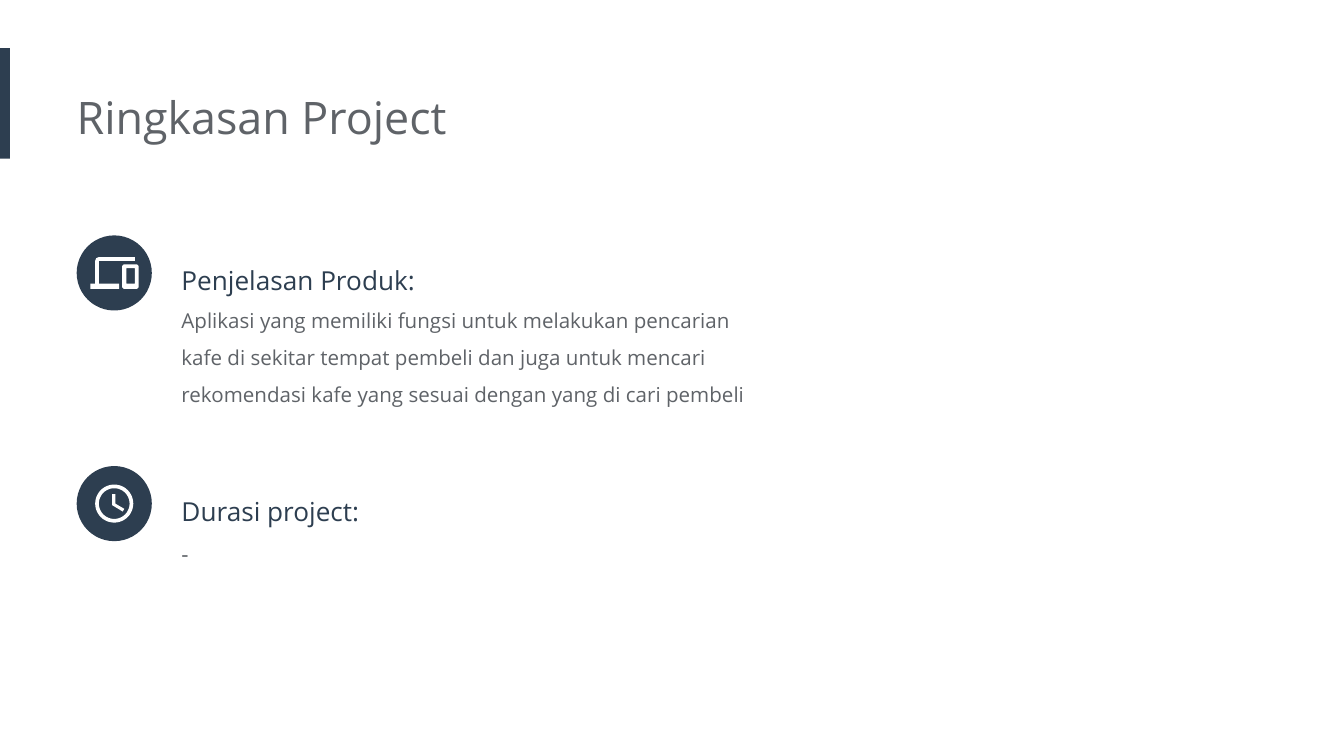
import math
from dataclasses import dataclass

import pptx
import pptx.dml.color
import pptx.enum.shapes
import pptx.enum.text
import pptx.util

Cm = pptx.util.Cm
Pt = pptx.util.Pt
RGBColor = pptx.dml.color.RGBColor
Kind = pptx.enum.shapes.MSO_SHAPE
Fit = pptx.enum.text.MSO_AUTO_SIZE
Point = tuple[float, float]
Path = list[Point]

NAVY = RGBColor(0x2D, 0x3E, 0x50)
GREY = RGBColor(0x5F, 0x63, 0x68)
WHITE = RGBColor(0xFF, 0xFF, 0xFF)
FONT = "Open Sans"
LEFT = 1.45    # left edge of title and badges, cm
INDENT = 3.43  # left edge of topic text, cm
BADGE = 1.42   # badge diameter, cm


@dataclass
class Line:
    text: str
    size: float
    color: RGBColor


@dataclass
class Topic:
    top: float
    width: float
    height: float
    lines: list[Line]
    icon: list[Path]


def ring(radius: float, steps: int = 48) -> Path:
    turns = [math.tau * i / steps for i in range(steps)]
    return [(radius * math.cos(a), radius * math.sin(a)) for a in turns]


# Icon outlines in cm, measured from the badge centre
CLOCK = [
    ring(0.36), ring(0.29),
    [(-0.04, -0.18), (-0.04, 0.03), (0.16, 0.15),
     (0.19, 0.1), (0.02, 0), (0.02, -0.18)],
]
SCREENS = [
    # Laptop
    [(-0.29, -0.23), (0.39, -0.23), (0.39, -0.3), (-0.29, -0.3),
     (-0.34, -0.28), (-0.36, -0.23), (-0.36, 0.2), (-0.45, 0.2),
     (-0.45, 0.3), (0.09, 0.3), (0.09, 0.2), (-0.29, 0.2)],
    # Phone and its display
    [(0.18, -0.16), (0.43, -0.16), (0.46, -0.13), (0.46, 0.27),
     (0.43, 0.3), (0.18, 0.3), (0.15, 0.27), (0.15, -0.13)],
    [(0.23, -0.09), (0.39, -0.09), (0.39, 0.2), (0.23, 0.2)],
]

TOPICS = [
    Topic(4.45, 11.35, 3.3, [
        Line("Penjelasan Produk:", 14, NAVY),
        Line("Aplikasi yang memiliki fungsi untuk melakukan pencarian kafe "
             "di sekitar tempat pembeli dan juga untuk mencari rekomendasi "
             "kafe yang sesuai dengan yang di cari pembeli", 11, GREY),
    ], SCREENS),
    Topic(8.81, 9.58, 1.93, [
        Line("Durasi project:", 14, NAVY),
        Line("-", 12, GREY),
    ], CLOCK),
]


def paint(shape, color: RGBColor) -> None:
    shape.shadow.inherit = False
    shape.fill.solid()
    shape.fill.fore_color.rgb = color
    shape.line.fill.background()


def add_solid(shapes, kind, x: float, y: float, w: float, h: float) -> None:
    paint(shapes.add_shape(kind, Cm(x), Cm(y), Cm(w), Cm(h)), NAVY)


def add_text(shapes, x: float, y: float, w: float, h: float,
             lines: list[Line], gap: float) -> None:
    frame = shapes.add_textbox(Cm(x), Cm(y), Cm(w), Cm(h)).text_frame
    frame.word_wrap = True
    frame.auto_size = Fit.SHAPE_TO_FIT_TEXT
    frame.margin_left = 0
    frame.margin_top = frame.margin_right = frame.margin_bottom = Cm(0.25)
    for i, line in enumerate(lines):
        para = frame.add_paragraph() if i else frame.paragraphs[0]
        para.line_spacing = gap
        run = para.add_run()
        run.text = line.text
        run.font.name = FONT
        run.font.size = Pt(line.size)
        run.font.color.rgb = line.color


def add_icon(shapes, x: float, y: float, paths: list[Path]) -> None:
    pen = None
    for path in paths:
        first, *rest = [(Cm(x + dx), Cm(y + dy)) for dx, dy in path]
        if pen is None:
            pen = shapes.build_freeform(*first)
        else:
            pen.move_to(*first)
        pen.add_line_segments(rest, close=True)
    paint(pen.convert_to_shape(), WHITE)


def add_topic(shapes, topic: Topic) -> None:
    add_text(shapes, INDENT, topic.top, topic.width, topic.height,
             topic.lines, 1.5)
    add_solid(shapes, Kind.OVAL, LEFT, topic.top, BADGE, BADGE)
    add_icon(shapes, LEFT + BADGE / 2, topic.top + BADGE / 2, topic.icon)


def main() -> None:
    deck = pptx.Presentation()
    deck.slide_width, deck.slide_height = Cm(25.4), Cm(14.29)
    shapes = deck.slides.add_slide(deck.slide_layouts[6]).shapes

    # Side bar and title
    add_solid(shapes, Kind.RECTANGLE, 0, 0.91, 0.19, 2.09)
    add_text(shapes, LEFT, 1.45, 17.09, 1.55,
             [Line("Ringkasan Project", 24, GREY)], 1.0)

    # Topics with badges
    for topic in TOPICS:
        add_topic(shapes, topic)

    deck.save("out.pptx")


if __name__ == "__main__":
    main()
